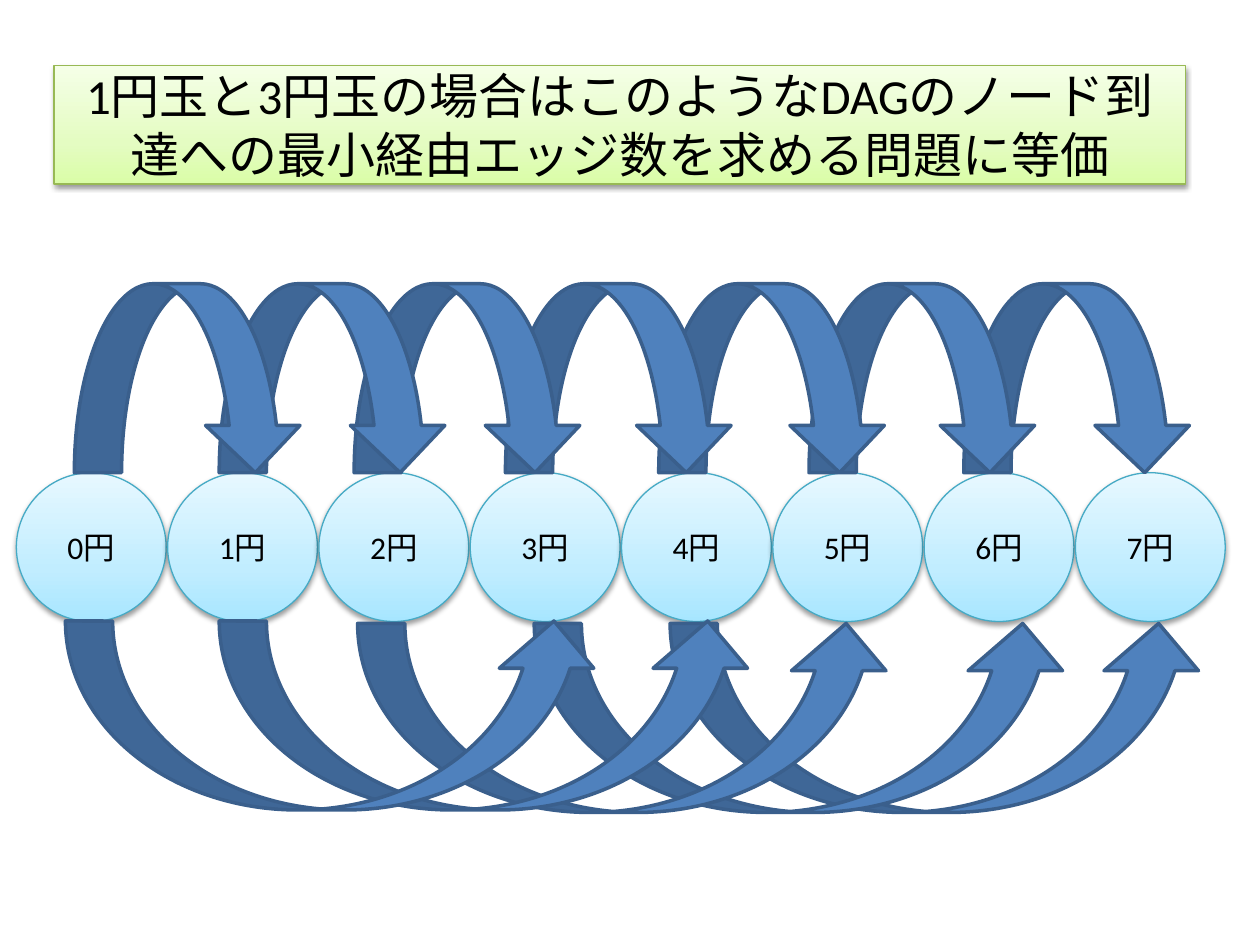
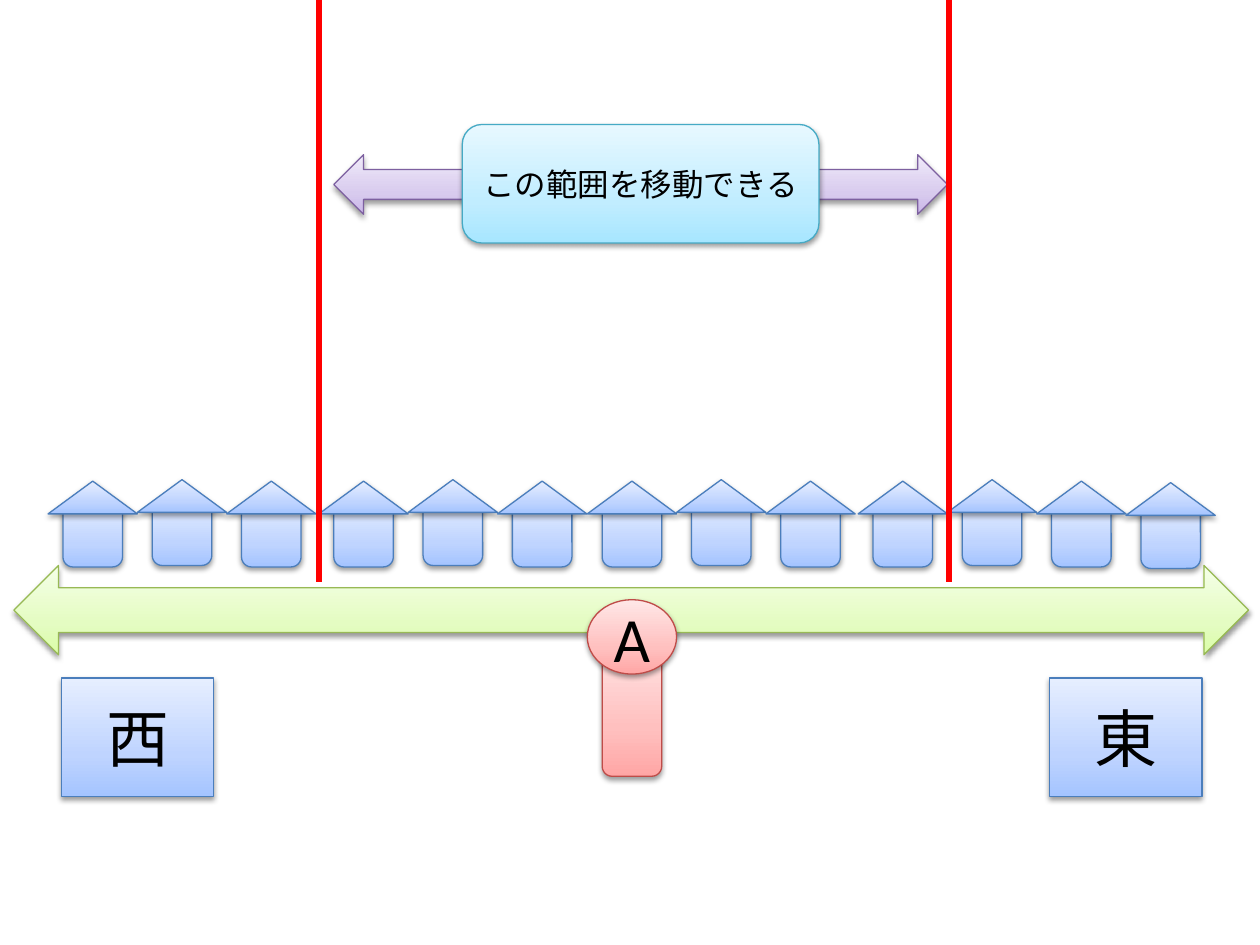
"""Build two slides: a coin-change graph and a street with a movable range."""
import copy
import dataclasses

import lxml.etree
import pptx
import pptx.dml.color
import pptx.enum.shapes
import pptx.enum.text
import pptx.oxml.ns
import pptx.util

Cm = pptx.util.Cm
Pt = pptx.util.Pt
SHAPE = pptx.enum.shapes.MSO_SHAPE
qn = pptx.oxml.ns.qn


@dataclasses.dataclass(frozen=True)
class Tint:
    """Gradient colours from bottom to top, and the outline."""
    stops: tuple
    line: str


@dataclasses.dataclass(frozen=True)
class Theme:
    """Colours and type sizes of the deck."""
    green: Tint = Tint(("DAFDA7", "E4FCC2", "F5FFE7"), "98B955")
    aqua: Tint = Tint(("A7E6FF", "C1EDFF", "E7F8FF"), "46AAC5")
    blue: Tint = Tint(("A4C4FF", "BFD4FF", "E6EEFF"), "4B7EBC")
    red: Tint = Tint(("FFA6A5", "FFC0BF", "FFE7E7"), "BF4C48")
    purple: Tint = Tint(("C9B5E8", "D8CBEE", "F0EAF9"), "7D60A0")
    stop_positions: tuple = (0, 0.35, 1)
    edge: str = "4F81BD"
    edge_line: str = "3A5F8C"
    limit: str = "FF0000"
    text: str = "000000"
    font: str = "Calibri"
    title_size: int = 28
    label_size: int = 18
    sign_size: int = 36


THEME = Theme()


def rgb(code):
    """Return the colour for a hex code."""
    return pptx.dml.color.RGBColor.from_string(code)


def set_format(target, values):
    """Set each named value on the target."""
    for name, value in values.items():
        setattr(target, name, value)


def draw_line(line, colour, width):
    """Give a line its colour and width in points."""
    line.color.rgb = rgb(colour)
    line.width = Pt(width)


def add_shadow(shape):
    """Put a soft shadow below the shape."""
    shape.shadow.inherit = False
    effects = shape._element.spPr.find(qn("a:effectLst"))
    shadow = lxml.etree.SubElement(
        effects, qn("a:outerShdw"), blurRad=str(Pt(3.1)), dist=str(Pt(1.6)),
        dir="5400000", rotWithShape="0")
    black = lxml.etree.SubElement(shadow, qn("a:srgbClr"), val="000000")
    lxml.etree.SubElement(black, qn("a:alpha"), val="38000")


def apply_tint(shape, tint):
    """Give the shape a vertical gradient, an outline and a shadow."""
    shape.fill.gradient()
    shape.fill.gradient_angle = 90
    stop_list = shape._element.spPr.find(".//" + qn("a:gsLst"))
    stop_list.append(copy.deepcopy(stop_list[0]))
    for stop, code, position in zip(shape.fill.gradient_stops, tint.stops,
                                    THEME.stop_positions):
        stop.color.rgb = rgb(code)
        stop.position = position
    draw_line(shape.line, tint.line, 0.75)
    add_shadow(shape)


def write_text(shape, text, size):
    """Write one centred paragraph in the middle of the shape."""
    frame = shape.text_frame
    set_format(frame, {
        "word_wrap": True,
        "auto_size": pptx.enum.text.MSO_AUTO_SIZE.NONE,
        "vertical_anchor": pptx.enum.text.MSO_ANCHOR.MIDDLE,
    })
    para = frame.paragraphs[0]
    para.alignment = pptx.enum.text.PP_ALIGN.CENTER
    span = para.add_run()
    span.text = text
    set_format(span.font, {"name": THEME.font, "size": Pt(size)})
    span.font.color.rgb = rgb(THEME.text)


def add_box(shapes, kind, place, tint, text="", size=THEME.label_size):
    """Add a tinted shape at left, top, width, height in centimetres."""
    box = shapes.add_shape(kind, *map(Cm, place))
    apply_tint(box, tint)
    if text:
        write_text(box, text, size)
    return box


def add_title(page, text, place):
    """Turn the title placeholder into a rounded green band."""
    title = page.shapes.title
    set_format(title, dict(zip(("left", "top", "width", "height"),
                               map(Cm, place))))
    outline = lxml.etree.SubElement(title._element.spPr, qn("a:prstGeom"),
                                    prst="roundRect")
    lxml.etree.SubElement(outline, qn("a:avLst"))
    apply_tint(title, THEME.green)
    write_text(title, text, THEME.title_size)


def add_edge(page, place, below=False):
    """Add a curved arrow that leads from one node to a later one."""
    edge = page.shapes.add_shape(SHAPE.CURVED_DOWN_ARROW, *map(Cm, place))
    edge.shadow.inherit = False
    edge.fill.solid()
    edge.fill.fore_color.rgb = rgb(THEME.edge)
    draw_line(edge.line, THEME.edge_line, 2)
    if below:
        edge._element.spPr.find(qn("a:xfrm")).set("flipV", "1")


def add_limit(page, x, bottom):
    """Add a vertical red line from the top of the slide."""
    limit = page.shapes.add_connector(
        pptx.enum.shapes.MSO_CONNECTOR.STRAIGHT, Cm(x), 0, Cm(x), Cm(bottom))
    draw_line(limit.line, THEME.limit, 3)
    lxml.etree.SubElement(limit._element.spPr, qn("a:effectLst"))


def add_house(shapes, left, top):
    """Add a wall with a roof on it."""
    add_box(shapes, SHAPE.ROUNDED_RECTANGLE,
            (left + 0.3, top + 0.41, 1.2, 1.32), THEME.blue)
    add_box(shapes, SHAPE.ISOSCELES_TRIANGLE, (left, top, 1.8, 0.66),
            THEME.blue)


def build_coin_graph(deck):
    """Build the slide with the graph of one-yen and three-yen steps."""
    page = deck.slides.add_slide(deck.slide_layouts[5])
    add_title(page, "1円玉と3円玉の場合はこのようなDAGのノード"
                    "到達への最小経由エッジ数を求める問題に等価",
              (1.09, 1.32, 22.81, 2.39))
    for amount in range(8):
        add_box(page.shapes, SHAPE.OVAL,
                (0.33 + 3.05 * amount, 9.53, 3.02, 3), THEME.aqua,
                f"{amount}円")
    for left in (19.43, 16.31, 13.28, 10.19, 7.14, 4.42, 1.5):
        add_edge(page, (left, 5.72, 4.6, 3.81))
    for left, top in ((13.51, 12.57), (10.77, 12.57), (7.21, 12.57),
                      (4.42, 12.52), (1.32, 12.52)):
        add_edge(page, (left, top, 10.8, 3.81), below=True)


def build_street(deck):
    """Build the slide with the street, the walker and the range."""
    page = deck.slides.add_slide(deck.slide_layouts[6])
    street = page.shapes.add_group_shape().shapes
    add_box(street, SHAPE.LEFT_RIGHT_ARROW, (0.28, 11.4, 24.89, 1.8),
            THEME.green)
    house_tops = (9.7, 9.67, 9.7, 9.73)
    for block_left, count in ((0.97, 3), (6.43, 3), (11.84, 3), (17.3, 4)):
        for number, top in enumerate(house_tops[:count]):
            add_house(street, block_left + 1.8 * number, top)

    walker = page.shapes.add_group_shape().shapes
    add_box(walker, SHAPE.ROUNDED_RECTANGLE, (12.14, 12.85, 1.2, 2.8),
            THEME.red)
    add_box(walker, SHAPE.OVAL, (11.84, 12.09, 1.8, 1.5), THEME.red, "A",
            THEME.sign_size)

    add_box(page.shapes, SHAPE.LEFT_RIGHT_ARROW, (6.73, 3.12, 12.37, 1.2),
            THEME.purple)
    for x in (6.43, 19.13):
        add_limit(page, x, 11.73)
    add_box(page.shapes, SHAPE.ROUNDED_RECTANGLE, (9.32, 2.51, 7.19, 2.39),
            THEME.aqua, "この範囲を移動できる")
    for left, direction in ((1.24, "西"), (21.16, "東")):
        add_box(page.shapes, SHAPE.RECTANGLE, (left, 13.67, 3.07, 2.39),
                THEME.blue, direction, THEME.sign_size)


def main():
    """Build and save the deck."""
    deck = pptx.Presentation()
    set_format(deck, {"slide_width": Cm(25.4), "slide_height": Cm(19.05)})
    build_coin_graph(deck)
    build_street(deck)
    deck.save("out.pptx")


if __name__ == "__main__":
    main()
